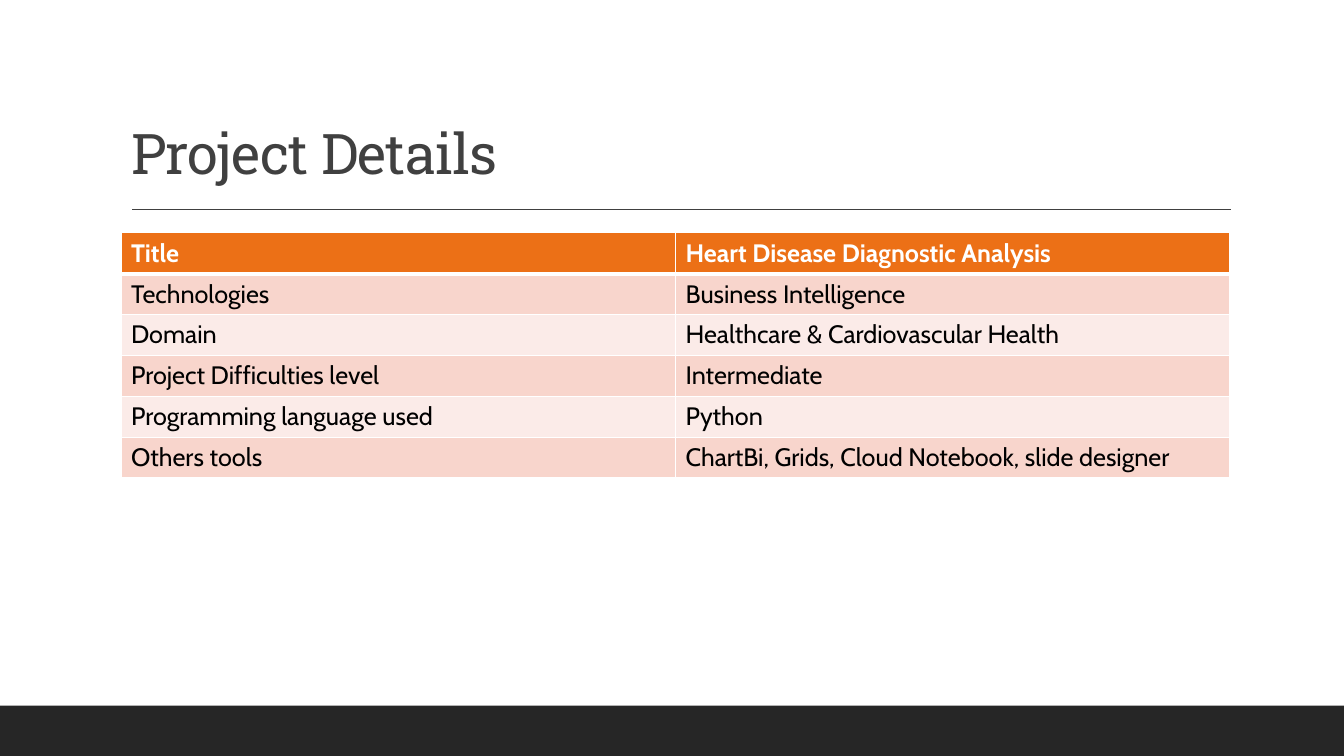
from pptx import Presentation
from pptx.dml.color import RGBColor
from pptx.enum.shapes import MSO_CONNECTOR as Connector, MSO_SHAPE as Shape
from pptx.enum.text import MSO_ANCHOR as Anchor, MSO_AUTO_SIZE as AutoSize, PP_ALIGN as Align
from pptx.oxml import parse_xml
from pptx.oxml.ns import nsdecls
from pptx.util import Pt

PX = 9144  # 100 px to the inch

WHITE = RGBColor(0xFF, 0xFF, 0xFF)
BLACK = RGBColor(0x00, 0x00, 0x00)
CHARCOAL = RGBColor(0x26, 0x26, 0x26)
GRAY = RGBColor(0x40, 0x40, 0x40)
ORANGE = RGBColor(0xEC, 0x70, 0x16)
ROSE = RGBColor(0xF8, 0xD5, 0xCC)
BLUSH = RGBColor(0xFB, 0xEB, 0xE8)

DETAILS = [
    ("Title", "Heart Disease Diagnostic Analysis"),
    ("Technologies", "Business Intelligence"),
    ("Domain", "Healthcare & Cardiovascular Health"),
    ("Project Difficulties level", "Intermediate"),
    ("Programming language used", "Python"),
    ("Others tools", "ChartBi, Grids, Cloud Notebook, slide designer"),
]


def scale(*lengths):
    return [length * PX for length in lengths]


class SlideBuilder:
    heading_font = "Roboto Slab"
    body_font = "Cabin"

    def __init__(self, page):
        self.page = page

    def style(self, para, font, size, color, bold=False):
        for span in para.runs:
            span.font.name = font
            span.font.size = Pt(size)
            span.font.color.rgb = color
            span.font.bold = bold

    def bar(self, left, top, width, height, color):
        box = self.page.shapes.add_shape(Shape.RECTANGLE, *scale(left, top, width, height))
        box.shadow.inherit = False
        box.fill.solid()
        box.fill.fore_color.rgb = color
        box.line.fill.background()

    def rule(self, x1, y1, x2, y2, color):
        line = self.page.shapes.add_connector(Connector.STRAIGHT, *scale(x1, y1, x2, y2))
        line.line.color.rgb = color
        line.line.width = Pt(1)
        properties = line._element.spPr
        properties.append(parse_xml(f"<a:effectLst {nsdecls('a')}/>"))

    def title(self, text, left, top, width, height):
        box = self.page.shapes.title
        box.left, box.top, box.width, box.height = scale(left, top, width, height)
        frame = box.text_frame
        frame.text = text
        frame.word_wrap = True
        frame.auto_size = AutoSize.NONE
        frame.vertical_anchor = Anchor.BOTTOM
        para = frame.paragraphs[0]
        para.alignment = Align.LEFT
        para.line_spacing = 0.9
        self.style(para, self.heading_font, 40, GRAY)
        para.runs[0].font._element.set("spc", "-50")

    def borders(self, cell, top, bottom):
        properties = cell._tc.get_or_add_tcPr()
        for side, points in (("L", 1), ("R", 1), ("T", top), ("B", bottom)):
            properties.append(parse_xml(
                f'<a:ln{side} {nsdecls("a")} w="{Pt(points)}"><a:solidFill>'
                f'<a:srgbClr val="{WHITE}"/></a:solidFill></a:ln{side}>'))

    def table(self, rows, left, top, width, height):
        grid = self.page.shapes.add_table(
            len(rows), len(rows[0]), *scale(left, top, width, height)).table
        for r, row in enumerate(rows):
            header = r == 0
            fill = ORANGE if header else (ROSE if r % 2 else BLUSH)
            for c, text in enumerate(row):
                cell = grid.cell(r, c)
                # The header is set off by a thicker line
                self.borders(cell, top=3 if r == 1 else 1, bottom=3 if header else 1)
                cell.fill.solid()
                cell.fill.fore_color.rgb = fill
                cell.text_frame.text = text
                self.style(cell.text_frame.paragraphs[0], self.body_font, 18,
                           WHITE if header else BLACK, bold=header)


def main():
    deck = Presentation()
    deck.slide_width, deck.slide_height = scale(1333, 750)
    title_only = deck.slide_layouts[5]
    slide = SlideBuilder(deck.slides.add_slide(title_only))

    # Footer band and line under the title
    slide.bar(0, 700, 1333, 50, CHARCOAL)
    slide.rule(131, 208, 1221, 208, GRAY)

    # Title and project table
    slide.title("Project Details", 120, 31, 1100, 159)
    slide.table(DETAILS, 120, 231, 1100, 243)

    deck.save("out.pptx")


if __name__ == "__main__":
    main()
